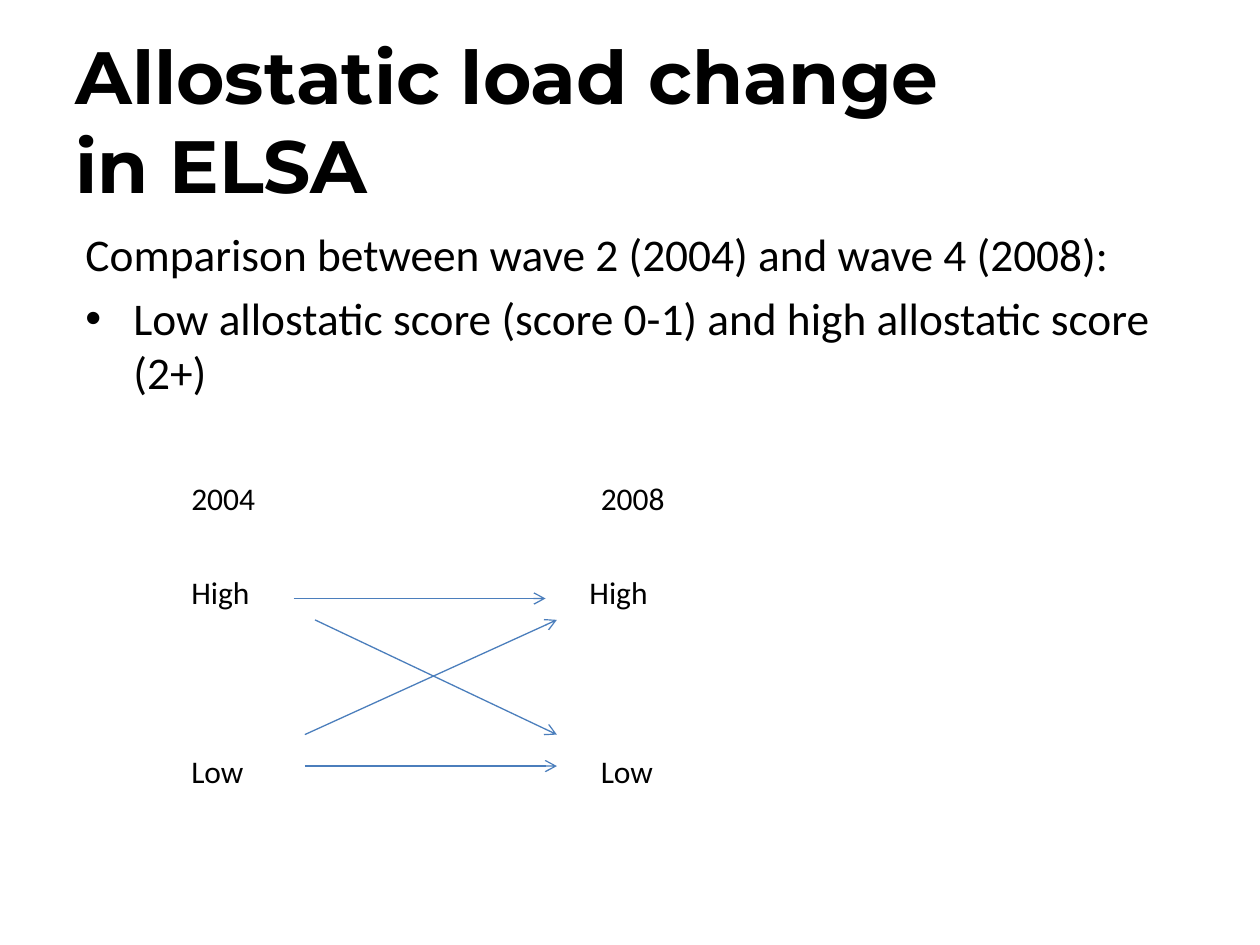
import pptx
import pptx.util
import pptx.dml.color
import pptx.enum.shapes
import pptx.enum.text
import pptx.oxml.ns
from lxml import etree
from pptx.util import Inches, Pt

BLACK = pptx.dml.color.RGBColor(0x00, 0x00, 0x00)
BLUE = pptx.dml.color.RGBColor(0x4B, 0x7E, 0xBC)

TITLE = "Allostatic load change in ELSA"
BODY = [
    ("Comparison between wave 2 (2004) and wave 4 (2008):", False),
    ("Low allostatic score (score 0-1) and high allostatic score (2+)", True),
]
LABEL_ROWS = [
    (3.75, [("2004", 1.42), ("2008", 4.67)]),
    (4.5, [("High", 1.42), ("High", 4.58)]),
    (5.92, [("Low", 1.42), ("Low", 4.67)]),
]
ARROWS = [
    ((2.33, 4.75), (4.33, 4.75)),
    ((2.42, 6.08), (4.42, 6.08)),
    ((2.5, 4.92), (4.42, 5.83)),
    ((2.42, 5.83), (4.42, 4.92)),
]
INDENT = Inches(0.38)


def add_element(parent, tag, **attributes):
    return etree.SubElement(parent, pptx.oxml.ns.qn(tag), attributes)


def add_text(page, lines, place, size, font="Calibri", bold=False,
             anchor=pptx.enum.text.MSO_ANCHOR.TOP, indent=0, gap=0):
    box = page.shapes.add_textbox(*map(Inches, place))
    frame = box.text_frame
    frame.word_wrap = True
    frame.vertical_anchor = anchor
    for index, (text, bullet) in enumerate(lines):
        para = frame.paragraphs[0] if index == 0 else frame.add_paragraph()
        if indent:
            properties = para._p.get_or_add_pPr()
            properties.set("marL", str(indent))
            properties.set("indent", str(-indent))
            if bullet:
                add_element(properties, "a:buFont", typeface="Arial")
                add_element(properties, "a:buChar", char="•")
            else:
                add_element(properties, "a:buNone")
        if index:
            para.space_before = Pt(gap)
        span = para.add_run()
        span.text = text
        span.font.name = font
        span.font.size = Pt(size)
        span.font.bold = bold
        span.font.color.rgb = BLACK
    return box


def add_arrow(page, start, end):
    arrow = page.shapes.add_connector(
        pptx.enum.shapes.MSO_CONNECTOR.STRAIGHT, *map(Inches, start + end))
    arrow.line.color.rgb = BLUE
    arrow.line.width = Pt(0.75)
    add_element(arrow.line._get_or_add_ln(), "a:tailEnd", type="arrow")
    add_element(arrow._element.spPr, "a:effectLst")


def main():
    deck = pptx.Presentation()
    deck.slide_width, deck.slide_height = Inches(10), Inches(7.5)
    page = deck.slides.add_slide(deck.slide_layouts[6])
    add_text(page, [(TITLE, False)], (0.5, 0.47, 7.78, 0.95), 42.3,
             font="Montserrat", bold=True, anchor=pptx.enum.text.MSO_ANCHOR.MIDDLE)
    add_text(page, BODY, (0.58, 1.75, 8.92, 1.83), 25.9, indent=INDENT, gap=5.2)
    for top, labels in LABEL_ROWS:
        for label, left in labels:
            add_text(page, [(label, False)], (left, top, 1.33, 0.4), 18)
    for start, end in ARROWS:
        add_arrow(page, start, end)
    deck.save("out.pptx")


if __name__ == "__main__":
    main()
